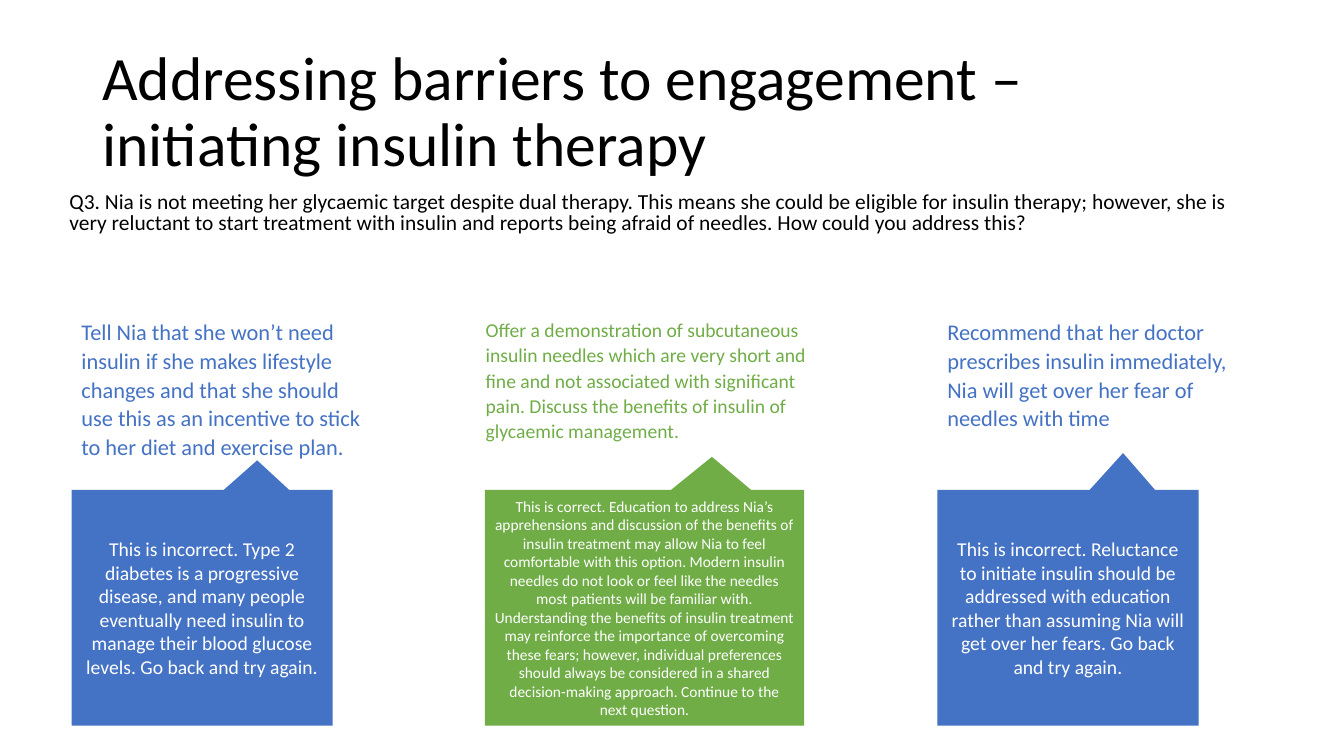
from pptx import Presentation
from pptx import util as u
from pptx.dml.color import RGBColor
from pptx.enum import shapes, text

COLOURS = {"black": "000000", "white": "FFFFFF", "incorrect": "4472C4", "correct": "70AD47"}
OPTION_TOP = 222.5
FEEDBACK_TOP, FEEDBACK_HEIGHT = 349.9, 168.5

# Verdict, then option (left, width, height, size, wording),
# then feedback (left, width, pointer height, size, wording)
ANSWERS = [
    ("incorrect",
     (51.1, 223.2, 110.2, 16,
      "Tell Nia that she won’t need insulin if she makes lifestyle changes and that she "
      "should use this as an incentive to stick to her diet and exercise plan."),
     (51.1, 186.5, -0.625, 14,
      "This is incorrect. Type 2 diabetes is a progressive disease, and many people "
      "eventually need insulin to manage their blood glucose levels. Go back and try again.")),
    ("correct",
     (339.8, 244.1, 97.2, 14,
      "Offer a demonstration of subcutaneous insulin needles which are very short and fine "
      "and not associated with significant pain. Discuss the benefits of insulin of "
      "glycaemic management."),
     (346.3, 228.2, -0.64, 11,
      "This is correct. Education to address Nia’s apprehensions and discussion of the "
      "benefits of insulin treatment may allow Nia to feel comfortable with this option. "
      "Modern insulin needles do not look or feel like the needles most patients will be "
      "familiar with. Understanding the benefits of insulin treatment may reinforce the "
      "importance of overcoming these fears; however, individual preferences should always "
      "be considered in a shared decision-making approach. Continue to the next question.")),
    ("incorrect",
     (669.6, 228.2, 89.3, 16,
      "Recommend that her doctor prescribes insulin immediately, Nia will get over her fear "
      "of needles with time"),
     (669.6, 186.5, -0.656, 14,
      "This is incorrect. Reluctance to initiate insulin should be addressed with education "
      "rather than assuming Nia will get over her fears. Go back and try again.")),
]


class QuizSlide:
    def __init__(self, presentation, font="Calibri"):
        self.slide = presentation.slides.add_slide(presentation.slide_layouts[6])
        self.font = font

    def set_wording(self, shape, wording, size, colour, anchor=text.MSO_ANCHOR.TOP):
        """Fill a shape with one paragraph and return that paragraph."""
        frame = shape.text_frame
        frame.word_wrap = True
        frame.vertical_anchor = anchor
        paragraph = frame.paragraphs[0]
        paragraph.text = wording
        for run in paragraph.runs:
            run.font.name = self.font
            run.font.size = u.Pt(size)
            run.font.color.rgb = RGBColor.from_string(COLOURS[colour])
        return paragraph

    def text_box(self, box, wording, size, colour, line_spacing, before=0, after=0,
                 anchor=text.MSO_ANCHOR.TOP):
        shape = self.slide.shapes.add_textbox(*map(u.Pt, box))
        paragraph = self.set_wording(shape, wording, size, colour, anchor)
        paragraph.line_spacing = line_spacing
        paragraph.space_before = u.Pt(before)
        paragraph.space_after = u.Pt(after)

    def callout(self, box, pointer, wording, size, fill):
        shape = self.slide.shapes.add_shape(
            shapes.MSO_SHAPE.RECTANGULAR_CALLOUT, *map(u.Pt, box))
        shape.shadow.inherit = False
        shape.adjustments[0], shape.adjustments[1] = pointer
        shape.fill.solid()
        shape.fill.fore_color.rgb = RGBColor.from_string(COLOURS[fill])
        shape.line.fill.background()
        paragraph = self.set_wording(shape, wording, size, "white", text.MSO_ANCHOR.MIDDLE)
        paragraph.alignment = text.PP_ALIGN.CENTER


def main():
    presentation = Presentation()
    presentation.slide_width = u.Pt(960)
    presentation.slide_height = u.Pt(540)
    quiz = QuizSlide(presentation)

    quiz.text_box((66, 28.8, 828, 104.4),
                  "Addressing barriers to engagement – \vinitiating insulin therapy",
                  44, "black", 0.9, anchor=text.MSO_ANCHOR.MIDDLE)
    quiz.text_box((42.5, 134.6, 842.4, 51.1),
                  "Q3. Nia is not meeting her glycaemic target despite dual therapy. This means she "
                  "could be eligible for insulin therapy; however, she is very reluctant to start "
                  "treatment with insulin and reports being afraid of needles. How could you "
                  "address this?", 15.3, "black", 0.8, before=10)

    for verdict, option, feedback in ANSWERS:
        left, width, pointer_height, size, wording = feedback
        quiz.callout((left, FEEDBACK_TOP, width, FEEDBACK_HEIGHT), (0.211, pointer_height),
                     wording, size, verdict)
        left, width, height, size, wording = option
        quiz.text_box((left, OPTION_TOP, width, height), wording, size, verdict, 1.07, after=8)

    presentation.save("out.pptx")


if __name__ == "__main__":
    main()
